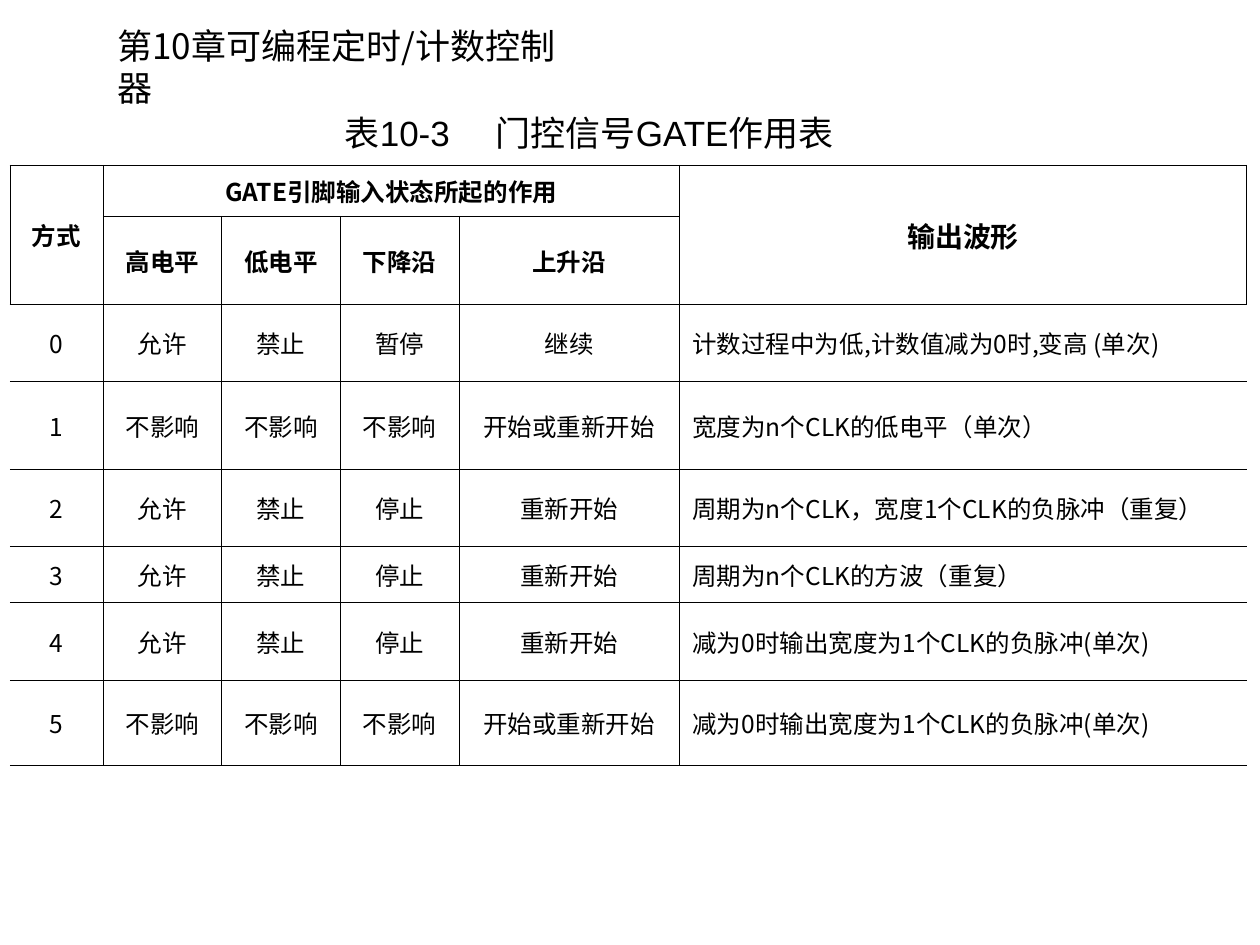
"""Build the slide with the table of GATE signal effects."""
from lxml.etree import SubElement
from pptx import Presentation
from pptx.dml.color import RGBColor
from pptx.enum.text import MSO_ANCHOR, PP_ALIGN
from pptx.oxml.ns import qn
from pptx.util import Cm, Pt

COLORS = {"ink": "000000"}
CJK = "Noto Sans CJK SC"
CHAPTER = "第10章可编程定时/计数控制器"
CAPTION = "表10-3\t门控信号GATE作用表"
ROWS = [
    ["方式", "GATE引脚输入状态所起的作用", "", "", "", "输出波形"],
    ["", "高电平", "低电平", "下降沿", "上升沿", ""],
    ["0", "允许", "禁止", "暂停", "继续", "计数过程中为低,计数值减为0时,变高 (单次)"],
    ["1", "不影响", "不影响", "不影响", "开始或重新开始", "宽度为n个CLK的低电平（单次）"],
    ["2", "允许", "禁止", "停止", "重新开始", "周期为n个CLK，宽度1个CLK的负脉冲（重复）"],
    ["3", "允许", "禁止", "停止", "重新开始", "周期为n个CLK的方波（重复）"],
    ["4", "允许", "禁止", "停止", "重新开始", "减为0时输出宽度为1个CLK的负脉冲(单次)"],
    ["5", "不影响", "不影响", "不影响", "开始或重新开始", "减为0时输出宽度为1个CLK的负脉冲(单次)"],
]
MERGES = [((0, 0), (1, 0)), ((0, 1), (0, 4)), ((0, 5), (1, 5))]
WIDTHS = [1.88, 2.39, 2.39, 2.39, 4.45, 11.43]
HEIGHTS = [1.03, 1.78, 1.55, 1.78, 1.55, 1.13, 1.57, 1.7]
HEADER_ROWS = 2
LAST_COLUMN = len(WIDTHS) - 1


def write(frame, text, size=14, latin=CJK, bold=False, align=PP_ALIGN.LEFT, tab=None):
    """Write one formatted paragraph into a text frame."""
    frame.word_wrap = True
    paragraph = frame.paragraphs[0]
    paragraph.alignment = align
    if tab is not None:
        stops = SubElement(paragraph._p.get_or_add_pPr(), qn("a:tabLst"))
        SubElement(stops, qn("a:tab"), pos=str(tab), algn="l")
    for index, part in enumerate(text.split("\t")):
        span = paragraph.add_run()
        span.text = "\t" + part if index else part
        span.font.size = Pt(size)
        span.font.bold = bold
        span.font.color.rgb = RGBColor.from_string(COLORS["ink"])
        span.font.name = latin
        SubElement(span._r.get_or_add_rPr(), qn("a:ea"), typeface=CJK)


def add_text(page, left, top, width, height, text, **style):
    """Add a text box, measured in centimetres."""
    box = page.shapes.add_textbox(Cm(left), Cm(top), Cm(width), Cm(height))
    write(box.text_frame, text, **style)


def set_borders(cell, hidden):
    """Rule every side of a cell except the hidden ones."""
    properties = cell._tc.get_or_add_tcPr()
    for side in "LRTB":
        line = SubElement(properties, qn("a:ln" + side), w=str(Pt(0.45)))
        if side in hidden:
            SubElement(line, qn("a:noFill"))
        else:
            fill = SubElement(line, qn("a:solidFill"))
            SubElement(fill, qn("a:srgbClr"), val=COLORS["ink"])


def add_effects_table(page):
    """Add the table of modes, gate effects and output waveforms."""
    frame = page.shapes.add_table(len(ROWS), len(WIDTHS), Cm(0.2), Cm(3.33),
                                  Cm(sum(WIDTHS)), Cm(sum(HEIGHTS)))
    table = frame.table
    table.first_row = table.horz_banding = False
    for column, width in zip(table.columns, WIDTHS):
        column.width = Cm(width)
    for row, height in zip(table.rows, HEIGHTS):
        row.height = Cm(height)
    for start, end in MERGES:
        table.cell(*start).merge(table.cell(*end))
    for row, texts in enumerate(ROWS):
        header = row < HEADER_ROWS
        for column, text in enumerate(texts):
            cell = table.cell(row, column)
            last = column == LAST_COLUMN
            hidden = "" if header else {0: "L", LAST_COLUMN: "R"}.get(column, "")
            set_borders(cell, hidden)
            cell.fill.background()
            cell.vertical_anchor = MSO_ANCHOR.MIDDLE
            if text:
                write(cell.text_frame, text, size=16 if header and last else 14, bold=header,
                      align=PP_ALIGN.LEFT if last and not header else PP_ALIGN.CENTER)


def main():
    """Compose and save the slide."""
    deck = Presentation()
    deck.slide_width, deck.slide_height = Cm(25.4), Cm(19.05)
    page = deck.slides.add_slide(deck.slide_layouts[6])
    add_text(page, 2.11, 0.36, 9.8, 1.96, CHAPTER, size=20)
    add_effects_table(page)
    add_text(page, 6.7, 2.13, 11, 1.12, CAPTION, size=20, latin="Arial", tab=Cm(3.04))
    deck.save("out.pptx")


if __name__ == "__main__":
    main()
